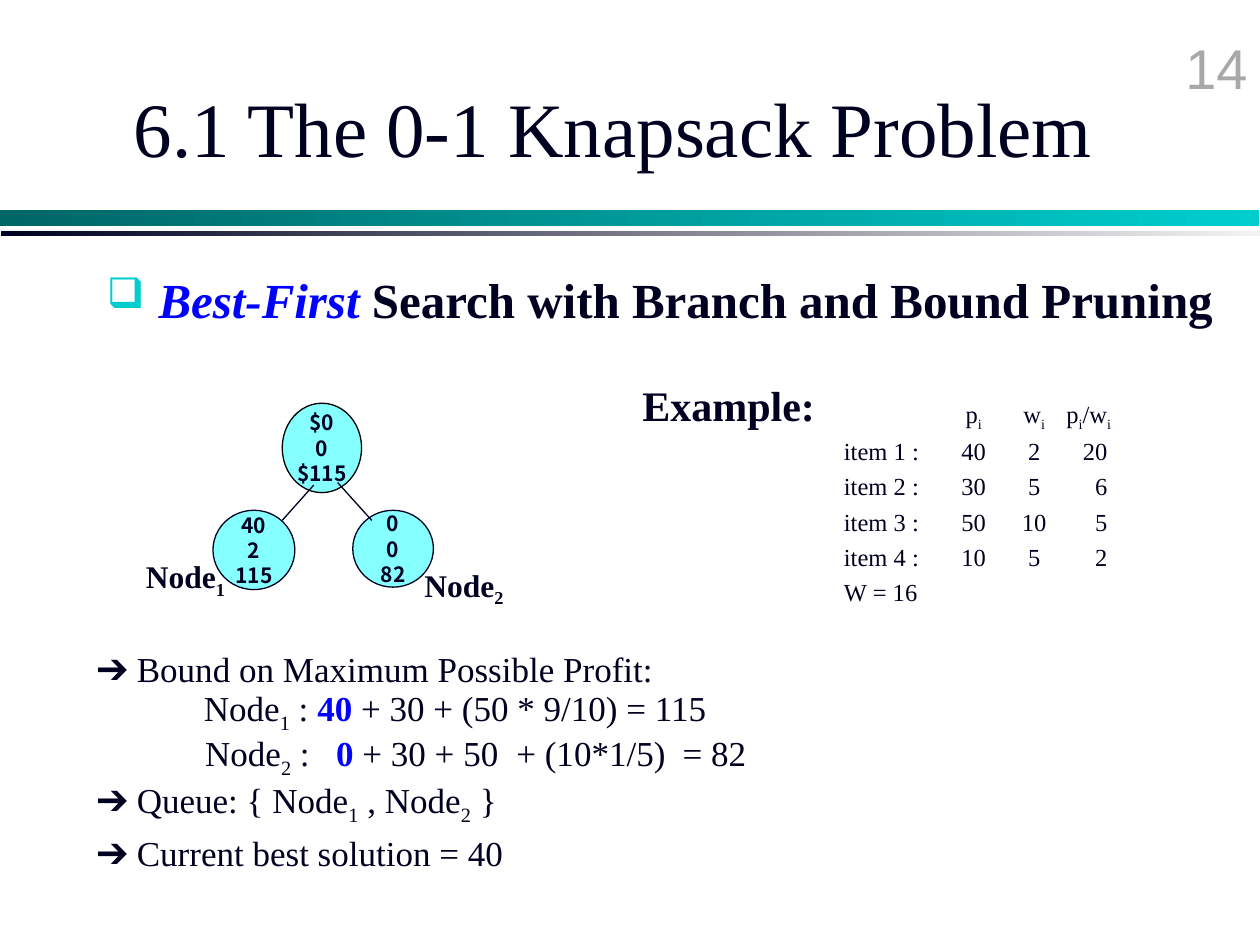
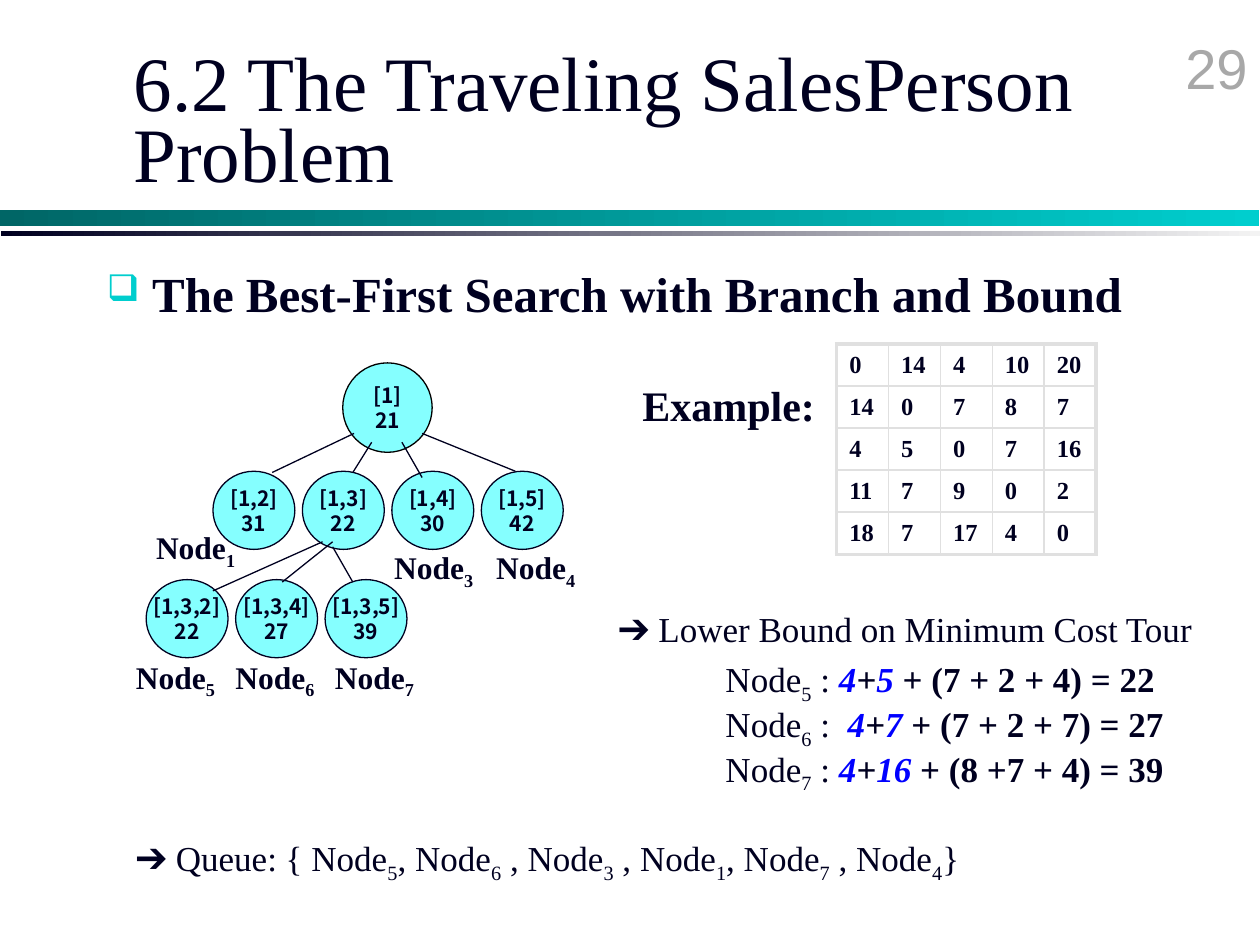
from dataclasses import dataclass

from lxml import etree
from pptx import Presentation
from pptx import util as u
from pptx.dml.color import RGBColor
from pptx.enum import shapes, text
from pptx.oxml import ns


@dataclass(frozen=True)
class Theme:
    ink: str = "000020"
    accent: str = "0000FF"
    bullet: str = "00CECE"
    node: str = "85FFFF"
    grid: str = "E0E0E0"
    number: str = "A8A8A8"
    teal_band: tuple = ("006666", "00CECE")
    ink_band: tuple = ("000020", "F3F3F3")
    serif: str = "Times New Roman"
    sans: str = "Arial"
    node_font: str = "Noto Sans CJK KR"
    title_size: int = 44
    number_size: int = 32
    heading_size: int = 28
    example_size: int = 24
    body_size: int = 20
    label_size: int = 18
    small_size: int = 14
    node_size: int = 12
    hairline: float = 0.75


THEME = Theme()
COLUMNS, ROWS = 100, 75

# Span marks: text is split at "|", and every second piece starts with a mark
MARKS = {
    "_": {"base": -25000},
    "*": {"color": THEME.accent, "bold": True},
    "/": {"color": THEME.accent, "bold": True, "italic": True},
    "&": {"bold": True, "italic": True},
    "+": {"bold": True},
}


def rgb(value):
    return RGBColor.from_string(value)


def add_element(parent, tag, **attributes):
    return etree.SubElement(parent, ns.qn(tag), attributes)


class Deck:
    """Holds the theme, the presentation and the current page."""

    def __init__(self, theme):
        self.theme = theme
        self.deck = Presentation()
        self.deck.slide_width, self.deck.slide_height = u.Inches(10), u.Inches(7.5)
        self.layout = self.deck.slide_layouts[5]
        self.page = None

    def place(self, left, top, width, height):
        column = self.deck.slide_width / COLUMNS
        row = self.deck.slide_height / ROWS
        return [u.Emu(round(n * unit)) for n, unit in
                zip((left, top, width, height), (column, row) * 2)]

    # Text
    def add_spans(self, para, marked, size, font=None, color=None, bold=False):
        for index, piece in enumerate(marked.split("|")):
            if not piece:
                continue
            style = MARKS[piece[0]] if index % 2 else {}
            span = para.add_run()
            span.text = piece[1:] if index % 2 else piece
            values = {"name": font or self.theme.serif, "size": u.Pt(size),
                      "bold": style.get("bold", bold), "italic": style.get("italic", False)}
            for name, value in values.items():
                setattr(span.font, name, value)
            span.font.color.rgb = rgb(style.get("color", color or self.theme.ink))
            if "base" in style:
                span.font._element.set("baseline", str(style["base"]))

    def tabs(self, para, stops):
        tab_list = add_element(para._p.get_or_add_pPr(), "a:tabLst")
        for column, align in stops:
            position = self.place(column, 0, 0, 0)[0]
            add_element(tab_list, "a:tab", pos=str(position), algn=align)

    def box(self, area, *lines, size, gap=0, stops=(), **style):
        frame = self.page.shapes.add_textbox(*self.place(*area)).text_frame
        frame.word_wrap = True
        for index, line in enumerate(lines):
            para = frame.paragraphs[0] if index == 0 else frame.add_paragraph()
            if stops:
                self.tabs(para, stops)
            if index:
                para.space_before = u.Pt(gap)
            self.add_spans(para, line, size, **style)
        return frame.paragraphs[0]

    def heading(self, marked, top, indent, bullet_share):
        para = self.box((7.5, top, 92.5, 5.8), marked, size=self.theme.heading_size, bold=True)
        properties = para._p.get_or_add_pPr()
        hang = self.place(indent, 0, 0, 0)[0]
        properties.set("marL", str(hang))
        properties.set("indent", str(-hang))
        add_element(add_element(properties, "a:buClr"), "a:srgbClr", val=self.theme.bullet)
        add_element(properties, "a:buSzPct", val=str(bullet_share * 1000))
        add_element(properties, "a:buChar", char="❑")

    def node_label(self, left, top, number):
        self.box((left, top, 10, 4), f"Node|_{number}", size=self.theme.label_size, bold=True)

    # Pages and their shared parts
    def new_page(self, title, number, spacing=None):
        first = self.page is None
        self.page = self.deck.slides.add_slide(self.layout)
        if first:
            self.band((0, 16.7, 99.9, 1.2), self.theme.teal_band)
            self.band((0.1, 18.3, 99.9, 0.4), self.theme.ink_band)
        holder = self.page.shapes.title
        values = zip(("left", "top", "width", "height"), self.place(9.6, 3.8, 85.2, 12.5))
        for name, value in values:
            setattr(holder, name, value)
        frame = holder.text_frame
        frame.auto_size = text.MSO_AUTO_SIZE.NONE
        frame.vertical_anchor = text.MSO_ANCHOR.MIDDLE
        para = frame.paragraphs[0]
        para.alignment = text.PP_ALIGN.LEFT
        if spacing:
            para.line_spacing = u.Pt(spacing)
        self.add_spans(para, title, self.theme.title_size)
        para = self.box((79.2, 2.2, 20.8, 5), number, size=self.theme.number_size,
                        font=self.theme.sans, color=self.theme.number)
        para.alignment = text.PP_ALIGN.RIGHT
        self.box((50, 29.6, 17, 5), "Example:", size=self.theme.example_size, bold=True)

    def band(self, area, colors):
        band = self.page.shapes.add_shape(shapes.MSO_SHAPE.RECTANGLE, *self.place(*area))
        band.shadow.inherit = False
        band.line.fill.background()
        band.fill.gradient()
        band.fill.gradient_angle = 0
        for stop, color, position in zip(band.fill.gradient_stops, colors, (0, 1)):
            stop.color.rgb = rgb(color)
            stop.position = position
        self.layout.shapes._spTree.append(band._element)

    # Tree parts
    def node(self, area, *lines, outline=None):
        node = self.page.shapes.add_shape(shapes.MSO_SHAPE.OVAL, *self.place(*area))
        node.shadow.inherit = False
        node.fill.solid()
        node.fill.fore_color.rgb = rgb(self.theme.node)
        node.line.color.rgb = rgb(outline or self.theme.ink)
        node.line.width = u.Pt(self.theme.hairline)
        frame = node.text_frame
        frame.word_wrap = False
        frame.vertical_anchor = text.MSO_ANCHOR.MIDDLE
        for index, line in enumerate(lines):
            para = frame.paragraphs[0] if index == 0 else frame.add_paragraph()
            para.alignment = text.PP_ALIGN.CENTER
            para.line_spacing = u.Pt(14.5)
            self.add_spans(para, line, self.theme.node_size, font=self.theme.node_font, bold=True)

    def branch(self, *ends):
        line = self.page.shapes.add_connector(shapes.MSO_CONNECTOR.STRAIGHT, *self.place(*ends))
        line.line.color.rgb = rgb(self.theme.ink)
        line.line.width = u.Pt(self.theme.hairline)
        add_element(line._element.spPr, "a:effectLst")

    # Cost matrix
    def matrix(self, area, values):
        last = len(values) - 1
        table = self.page.shapes.add_table(len(values), len(values), *self.place(*area)).table
        table.first_row = table.horz_banding = False
        for row, costs in enumerate(values):
            for column, cost in enumerate(costs):
                cell = table.cell(row, column)
                cell.vertical_anchor = text.MSO_ANCHOR.MIDDLE
                self.add_spans(cell.text_frame.paragraphs[0], str(cost),
                               self.theme.small_size, bold=True)
                outer = {"L": column == 0, "R": column == last, "T": row == 0, "B": row == last}
                self.borders(cell, outer)
                cell.fill.background()

    def borders(self, cell, outer):
        for side, is_outer in outer.items():
            width = u.Pt(2.25 if is_outer else 1)
            edge = add_element(cell._tc.get_or_add_tcPr(), f"a:ln{side}", w=str(width))
            fill = add_element(edge, "a:solidFill")
            add_element(fill, "a:srgbClr", val=self.theme.grid)


def knapsack_page(show):
    theme = show.theme
    show.new_page("6.1 The 0-1 Knapsack Problem", "14")
    show.heading("|/Best-First| Search with Branch and Bound Pruning", 20.9, 4.1, 86)

    # Items: label, profit, weight and ratio in tab columns
    items = [(40, 2, 20), (30, 5, 6), (50, 10, 5), (10, 5, 2)]
    lines = [f"item {number} :\t{profit}\t{weight}\t{ratio}"
             for number, (profit, weight, ratio) in enumerate(items, 1)]
    columns = [(10.3, "ctr"), (15.1, "ctr")]
    show.box((66, 31.2, 30, 3), "\tp|_i|\tw|_i|\tp|_i|/w|_i", size=theme.small_size,
             stops=columns + [(21.2, "r")])
    show.box((66, 34.1, 30, 14), *lines, "W = 16", size=theme.small_size, gap=3.4,
             stops=columns + [(20.9, "r")])

    # Search tree
    show.node((22.4, 32, 6.3, 7.1), "$0", "0", "$115", outline="000000")
    show.node((28, 40.5, 6.4, 6.1), "0", "0", "82")
    show.node((16.9, 40.5, 6.5, 6.3), "40", "2", "115")
    show.branch(24.9, 38.5, 22.4, 41.3)
    show.branch(26.8, 38.3, 29.5, 41.3)
    show.node_label(10.6, 43.7, 1)
    show.node_label(32.7, 44.4, 2)

    # Bounds, queue and best solution
    for top, line in [(50.9, "➔ Bound on Maximum Possible Profit:"),
                      (61.3, "➔ Queue: { Node|_1| , Node|_2| }"),
                      (65.5, "➔ Current best solution = 40")]:
        show.box((6.7, top, 50, 4.3), line, size=theme.body_size)
    show.box((15.2, 54, 50, 4.3), "Node|_1| : |*40| + 30 + (50 * 9/10) = 115",
             size=theme.body_size)
    show.box((15.3, 57.6, 50, 4.4), "Node|_2| :\t|*0| + 30 + 50\t+ (10*1/5)\t= 82",
             size=theme.body_size, stops=[(10.4, "l"), (24.7, "l"), (37.9, "l")])


def salesperson_page(show):
    theme = show.theme
    show.new_page("6.2 The Traveling SalesPerson Problem", "29", spacing=41)
    show.heading("The Best-First Search with Branch and Bound", 20.4, 3.6, 75)
    show.matrix((66.4, 27.3, 20.6, 15.9), [
        (0, 14, 4, 10, 20),
        (14, 0, 7, 8, 7),
        (4, 5, 0, 7, 16),
        (11, 7, 9, 0, 2),
        (18, 7, 17, 4, 0),
    ])

    # Search tree: each level is a row of equally spaced nodes
    show.node((27.2, 28.8, 7.1, 7.1), "[1]", "21", outline="000000")
    levels = [
        (16.9, 37.4, [("[1,2]", "31"), ("[1,3]", "22"), ("[1,4]", "30"), ("[1,5]", "42")]),
        (11.6, 46, [("[1,3,2]", "22"), ("[1,3,4]", "27"), ("[1,3,5]", "39")]),
    ]
    for left, top, nodes in levels:
        for index, lines in enumerate(nodes):
            show.node((left + 7.1 * index, top, 6.5, 6.2), *lines)
    for ends in [(28.1, 34.4, 21.6, 37.5), (29.5, 35.1, 28, 37.5),
                 (31.9, 35.1, 33.5, 37.9), (33.5, 34.4, 40.9, 37.4),
                 (25.6, 43, 16.9, 46.9), (26.4, 43, 22.4, 46.2), (26.4, 43.4, 28, 46.2)]:
        show.branch(*ends)
    for left, top, number in [(11.4, 41.4, 1), (30.3, 43, 3), (38.4, 43, 4),
                              (9.8, 51.7, 5), (17.7, 51.7, 6), (25.6, 51.7, 7)]:
        show.node_label(left, top, number)

    # Lower bounds: node, gap after the colon, last edge and the rest of the sum
    show.box((48.1, 47.7, 50, 4.3), "➔ Lower Bound on Minimum Cost Tour", size=theme.body_size)
    bounds = [(5, " ", 5, "(7 + 2 + 4) = 22"),
              (6, "\t", 7, "(7 + 2 + 7) = 27"),
              (7, " ", 16, "(8 +7 + 4) = 39")]
    for index, (number, gap, edge, rest) in enumerate(bounds):
        show.box((56.6, 51.7 + 3.55 * index, 42, 4.4),
                 f"Node|_{number}| :{gap}|/4||&+||/{edge}||+ + {rest}",
                 size=theme.body_size, stops=[(9.7, "l")])

    # Queue
    show.box((9.8, 65.9, 85, 4.3),
             "➔ Queue: { Node|_5|, Node|_6| , Node|_3| , Node|_1|, Node|_7| , Node|_4|}",
             size=theme.body_size)


def main():
    show = Deck(THEME)
    knapsack_page(show)
    salesperson_page(show)
    show.deck.save("out.pptx")


if __name__ == "__main__":
    main()
